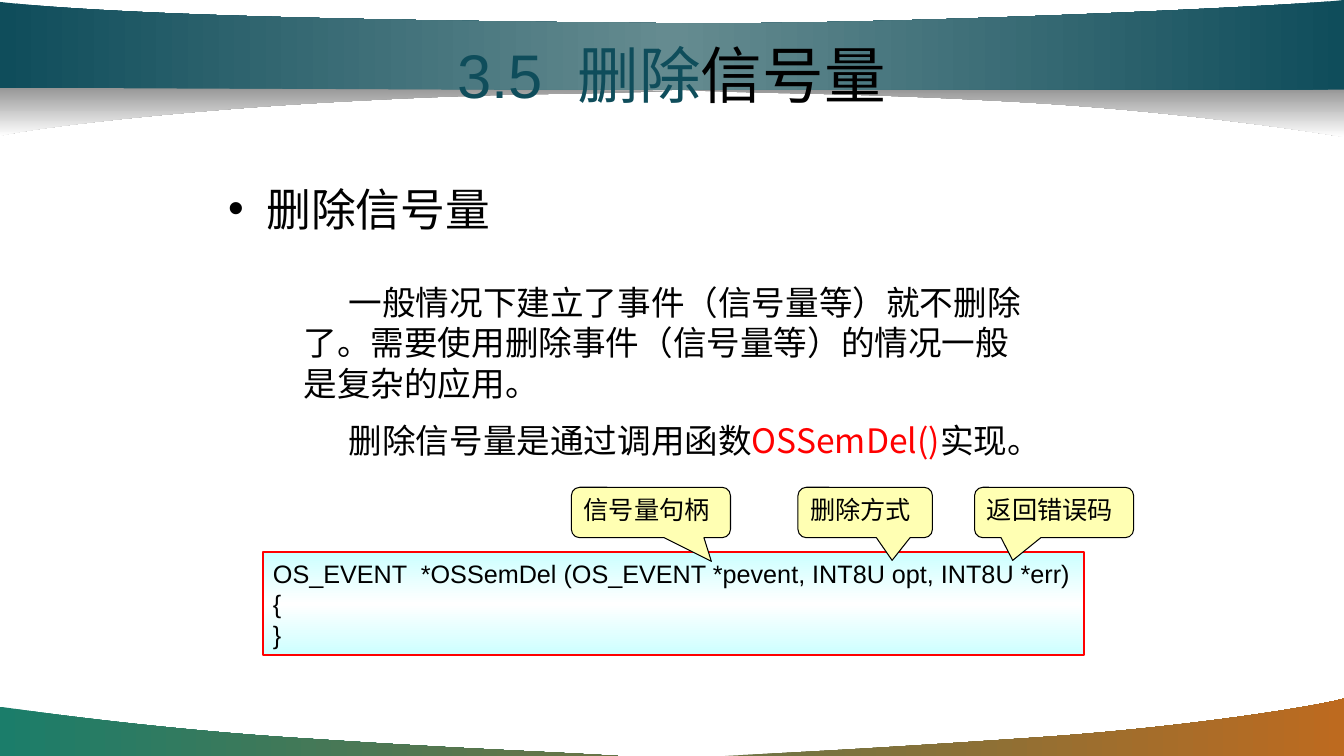
from lxml.etree import SubElement
from pptx import Presentation
from pptx.dml.color import RGBColor
from pptx.enum.shapes import MSO_SHAPE as Shape
from pptx.enum.text import MSO_ANCHOR as Anchor, PP_ALIGN as Align
from pptx.oxml.ns import qn
from pptx.util import Cm, Pt

COLORS = {
    "black": "000000", "red": "FF0000", "teal": "0F4D5B", "mist": "658B90",
    "green": "1B7D6A", "olive": "6C7445", "orange": "BD6A1F",
    "gray": "969696", "white": "FFFFFF", "cyan": "CCFFFF", "yellow": "FFFFB3",
}
LATIN, CJK = "Arial", "Noto Sans CJK JP"

# Each outline is a start point, then line ends (2 numbers) or curves (6), in cm.
BOTTOM_LEFT = [(15.57, 19.05), (13, 18.9, 12.12, 18.9, 7.85, 18.62),
               (3.58, 18.36, 0.05, 17.81, 0, 17.81), (0, 19.05)]
BOTTOM_RIGHT = [(18.26, 19.05), (20.78, 18.92, 21.87, 18.87, 26.04, 18.59),
                (30.2, 18.31, 33.53, 17.73, 33.87, 17.6), (33.87, 19.05)]
SHADE_RIGHT = [(16.93, 2.26), (19.76, 2.39, 21.01, 2.31, 25.68, 2.57),
               (30.35, 2.84, 33.81, 3.45, 33.87, 3.45), (33.87, 2.24)]
SHADE_LEFT = [(16.93, 2.29), (14.1, 2.41, 13.13, 2.31, 8.43, 2.57),
              (3.71, 2.84, 0.38, 3.3, 0, 3.43), (0, 2.21)]
TOP_BAND = [(0, 2.26), (33.87, 2.26), (33.87, 0),
            (32.66, 0.15, 22.1, 0.66, 16.48, 0.58),
            (10.87, 0.53, 3.43, 0.43, 0, 0.05)]


def rgb(name):
    return RGBColor.from_string(COLORS[name])


def fill_gradient(shape, names, angle):
    """Spread the named colours evenly; the angle runs clockwise in degrees."""
    shape.fill.gradient()
    gradient = shape._element.spPr.find(qn("a:gradFill"))
    stops = gradient.find(qn("a:gsLst"))
    for stop in list(stops):
        stops.remove(stop)
    for i, name in enumerate(names):
        stop = SubElement(stops, qn("a:gs"), pos=str(100000 * i // (len(names) - 1)))
        SubElement(stop, qn("a:srgbClr"), val=COLORS[name])
    gradient.find(qn("a:lin")).set("ang", str(angle * 60000))


def bend(wave, outline):
    """Merge each three lines that stand for a curve into one Bezier curve."""
    lines = iter(list(wave._element.iter(qn("a:lnTo"))))
    for piece in outline[1:]:
        first = next(lines)
        if len(piece) == 6:
            first.tag = qn("a:cubicBezTo")
            for _ in range(2):
                line = next(lines)
                first.append(line[0])
                line.getparent().remove(line)


def add_wave(slide, outline, names, angle):
    start, *rest = [(Cm(x), Cm(y)) for piece in outline
                    for x, y in zip(piece[::2], piece[1::2])]
    builder = slide.shapes.build_freeform(*start)
    builder.add_line_segments(rest, close=True)
    wave = builder.convert_to_shape()
    bend(wave, outline)
    wave.shadow.inherit = False
    wave.line.fill.background()
    fill_gradient(wave, names, angle)


def write(shape, paragraphs, size, font=LATIN, align=Align.LEFT, anchor=Anchor.TOP,
          wrap=True, gap=0, indent=0, bullet=None):
    """Write paragraphs, each a list of (text, colour name) runs."""
    frame = shape.text_frame
    frame.word_wrap = wrap
    frame.vertical_anchor = anchor
    for i, runs in enumerate(paragraphs):
        paragraph = frame.paragraphs[0] if i == 0 else frame.add_paragraph()
        props = paragraph._p.get_or_add_pPr()
        props.set("marL", str(Cm(max(-indent, 0))))
        props.set("indent", str(Cm(indent)))
        if bullet:
            SubElement(props, qn("a:buFont"), typeface=LATIN)
            SubElement(props, qn("a:buChar"), char=bullet)
        paragraph.alignment = align
        if i and gap:
            paragraph.space_before = Pt(gap)
        for text, color in runs:
            run = paragraph.add_run()
            run.text = text
            run.font.size = Pt(size)
            run.font.name = font
            run.font.color.rgb = rgb(color)
            SubElement(run._r.get_or_add_rPr(), qn("a:ea"), typeface=CJK)


def add_text(slide, box, paragraphs, size, **style):
    write(slide.shapes.add_textbox(*map(Cm, box)), paragraphs, size, **style)


def add_box(slide, kind, box, line, width):
    shape = slide.shapes.add_shape(kind, *map(Cm, box))
    shape.shadow.inherit = False
    shape.line.color.rgb = rgb(line)
    shape.line.width = Pt(width)
    return shape


def add_callout(slide, text, left, width, tip):
    callout = add_box(slide, Shape.ROUNDED_RECTANGULAR_CALLOUT,
                      (left, 12.28, width, 1.27), "black", 0.75)
    callout.fill.solid()
    callout.fill.fore_color.rgb = rgb("yellow")
    callout.adjustments[0], callout.adjustments[1] = tip
    write(callout, [[(text, "black")]], 18)


def main():
    deck = Presentation()
    deck.slide_width, deck.slide_height = Cm(33.87), Cm(19.05)
    slide = deck.slides.add_slide(deck.slide_layouts[6])

    add_wave(slide, BOTTOM_LEFT, ["green", "olive"], 0)
    add_wave(slide, BOTTOM_RIGHT, ["olive", "orange"], 0)
    add_wave(slide, SHADE_RIGHT, ["gray", "white"], 90)
    add_wave(slide, TOP_BAND, ["teal", "mist", "teal"], 0)
    add_wave(slide, SHADE_LEFT, ["gray", "white"], 90)

    add_text(slide, (5.5, 0.28, 22.86, 3.18),
             [[("3.5  删除", "teal"), ("信号量", "black")]], 44,
             align=Align.CENTER, anchor=Anchor.MIDDLE)
    add_text(slide, (5.5, 4.45, 22.86, 1.7), [[("删除信号量", "black")]], 32,
             indent=-0.96, bullet="•")
    add_text(slide, (7.4, 6.91, 19.05, 4.88), [
        [("一般情况下建立了事件（信号量等）就不删除了。"
          "需要使用删除事件（信号量等）的情况一般是复杂的应用。", "black")],
        [("删除信号量是通过调用函数", "black"), ("OSSemDel()", "red"), ("实现。", "black")],
    ], 24, font=CJK, anchor=Anchor.MIDDLE, gap=12, indent=1.14)

    code = add_box(slide, Shape.RECTANGLE, (6.63, 13.92, 20.68, 2.59), "red", 1.5)
    fill_gradient(code, ["cyan", "white", "cyan"], 90)
    signature = "OS_EVENT  *OSSemDel (OS_EVENT *pevent, INT8U opt, INT8U *err)"
    write(code, [[(line, "black")] for line in (signature, "{", "}")], 18,
          anchor=Anchor.MIDDLE, wrap=False)

    add_callout(slide, "信号量句柄", 14.4, 4.01, (0.38, 0.97))
    add_callout(slide, "删除方式", 20.11, 3.39, (0.2, 0.95))
    add_callout(slide, "返回错误码", 24.56, 4.01, (-0.26, 0.95))

    deck.save("out.pptx")


if __name__ == "__main__":
    main()
